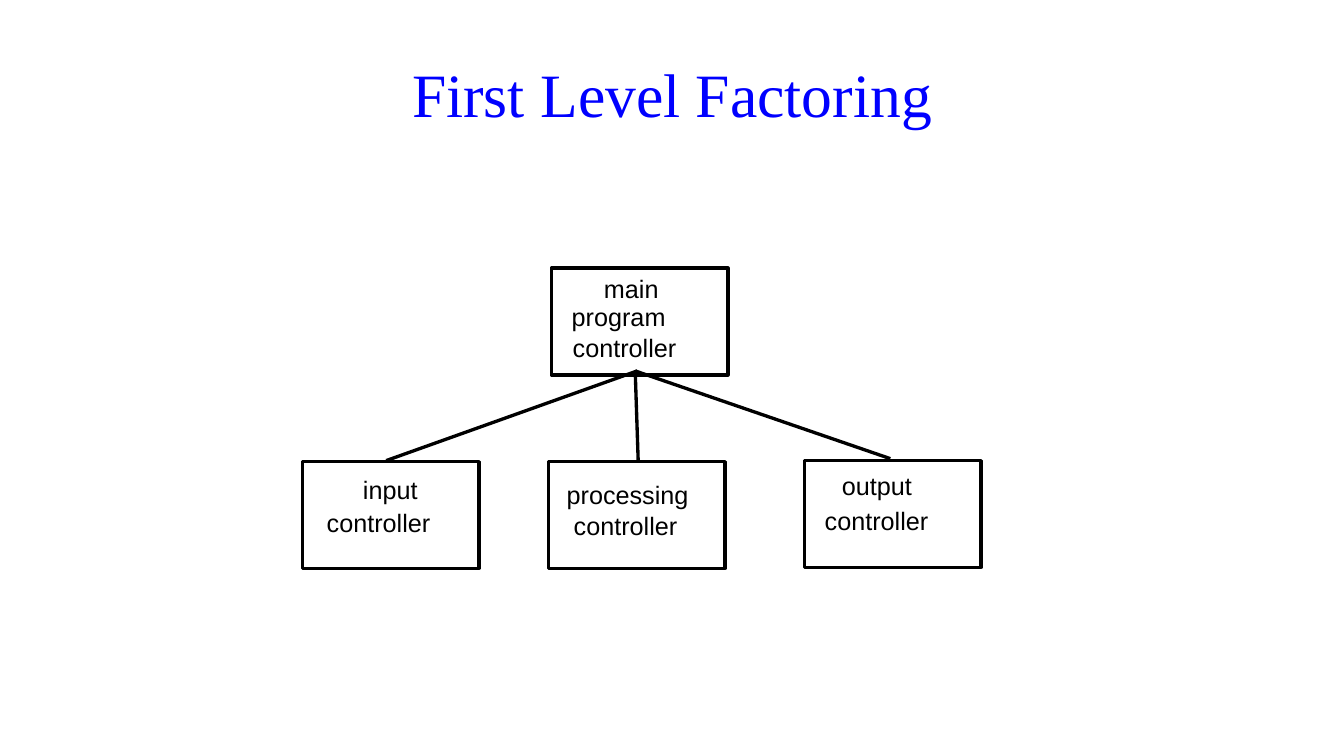
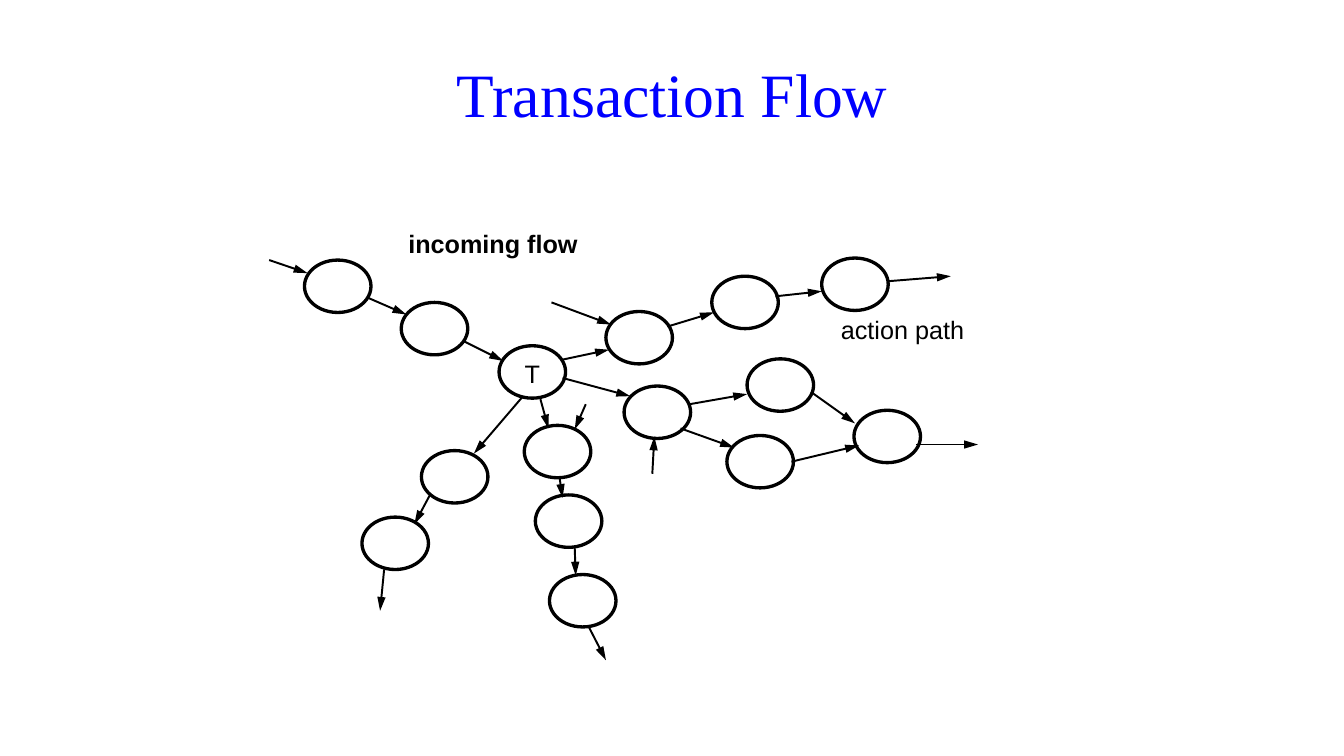
"""Build two structured-design slides: first level factoring and transaction flow."""
from dataclasses import dataclass

from lxml import etree
from pptx import Presentation
from pptx import util as u
from pptx.dml.color import RGBColor
from pptx.enum import shapes, text
from pptx.oxml import ns

BLACK = RGBColor(0x00, 0x00, 0x00)
WHITE = RGBColor(0xFF, 0xFF, 0xFF)
TITLE_BLUE = RGBColor(0x00, 0x00, 0xFF)
TITLE_FONT, LABEL_FONT = "Times New Roman", "Arial"
HEAVY, LIGHT = u.Pt(2.38), u.Pt(1.38)
MODULE_SIZE = (1.75, 1.06)
BUBBLE_SIZE = (0.66, 0.52)
TITLE_ONLY = 5


@dataclass(frozen=True)
class Line:
    """One line of a label, with its indent and the gap above it in inches."""
    words: str
    indent: float = 0
    gap: float = 0


@dataclass(frozen=True)
class Module:
    """A box of the structure chart."""
    left: float
    top: float
    inset: float
    lines: tuple[Line, ...]


@dataclass(frozen=True)
class Flow:
    """A straight stroke between two points."""
    x1: float
    y1: float
    x2: float
    y2: float


MODULES = (
    Module(5.47, 2.66, 0.09, (Line("main", 0.52), Line("program", 0.2), Line("controller", 0.21, 0.04))),
    Module(3, 4.58, 0.16, (Line("input", 0.6), Line("controller", 0.24, 0.06))),
    Module(5.44, 4.58, 0.21, (Line("processing", 0.18), Line("controller", 0.25, 0.04))),
    Module(7.98, 4.57, 0.13, (Line("output", 0.37), Line("controller", 0.2, 0.08))),
)
CALLS = (Flow(6.32, 3.68, 3.83, 4.57), Flow(6.3, 3.68, 6.33, 4.58), Flow(6.3, 3.68, 8.83, 4.55))

TRANSACTION_CENTER = (4.95, 3.43)
BUBBLES = (
    (3.02, 2.58), (3.98, 3),
    (6.01, 3.09), (7.06, 2.74), (8.15, 2.56),
    (6.19, 3.83), (7.41, 3.56), (7.21, 4.32), (8.47, 4.07),
    (5.2, 4.22), (5.31, 4.91), (5.45, 5.7),
    (4.18, 4.47), (3.59, 5.13),
)
INCOMING_FLOWS = (Flow(2.67, 2.58, 3.05, 2.71), Flow(3.64, 2.95, 4.03, 3.12), Flow(4.59, 3.38, 4.99, 3.58))
ACTION_FLOWS = (
    Flow(5.57, 3.57, 6.04, 3.47), Flow(5.47, 3, 6.06, 3.22), Flow(6.62, 3.24, 7.08, 3.1),
    Flow(7.69, 2.94, 8.15, 2.89), Flow(8.81, 2.79, 9.43, 2.74),
    Flow(5.58, 3.75, 6.25, 3.93), Flow(6.47, 4.7, 6.49, 4.33), Flow(6.84, 4.01, 7.41, 3.91),
    Flow(8.06, 3.9, 8.48, 4.2), Flow(6.75, 4.25, 7.28, 4.44), Flow(7.85, 4.58, 8.52, 4.42),
    Flow(9.09, 4.41, 9.7, 4.41),
    Flow(5.36, 3.96, 5.44, 4.25), Flow(5.81, 4.01, 5.7, 4.26), Flow(5.55, 4.74, 5.58, 4.94),
    Flow(5.7, 5.43, 5.71, 5.71), Flow(5.84, 6.22, 6.01, 6.55),
    Flow(5.18, 3.94, 4.7, 4.5), Flow(4.27, 4.9, 4.11, 5.2), Flow(3.81, 5.65, 3.77, 6.06),
)


def write(frame, lines: tuple[Line, ...], *, font: str = LABEL_FONT, size: float = 18,
          color: RGBColor = BLACK, bold: bool = False, spacing: float = 0.9, inset: float = 0,
          align=text.PP_ALIGN.LEFT, anchor=text.MSO_ANCHOR.TOP) -> None:
    """Fill a text frame with formatted lines."""
    frame.word_wrap = True
    frame.auto_size = text.MSO_AUTO_SIZE.NONE
    frame.vertical_anchor = anchor
    frame.margin_left = frame.margin_right = frame.margin_bottom = 0
    frame.margin_top = u.Inches(inset)
    for index, line in enumerate(lines):
        paragraph = frame.add_paragraph() if index else frame.paragraphs[0]
        paragraph.alignment = align
        paragraph.line_spacing = spacing
        paragraph.space_before = u.Inches(line.gap)
        if line.indent:
            paragraph._p.get_or_add_pPr().set("marL", str(u.Inches(line.indent)))
        run = paragraph.add_run()
        run.text = line.words
        run.font.name, run.font.size, run.font.bold = font, u.Pt(size), bold
        run.font.color.rgb = color


def add_titled_slide(deck, title: str):
    """Add a slide with the shared title style."""
    slide = deck.slides.add_slide(deck.slide_layouts[TITLE_ONLY])
    heading = slide.shapes.title
    heading.left, heading.top = u.Inches(0.67), u.Inches(0.3)
    heading.width, heading.height = u.Inches(12), u.Inches(1.25)
    write(heading.text_frame, (Line(title),), font=TITLE_FONT, size=44, color=TITLE_BLUE,
          spacing=1.0, align=text.PP_ALIGN.CENTER, anchor=text.MSO_ANCHOR.MIDDLE)
    return slide


def add_node(slide, kind, left: float, top: float, size: tuple[float, float]):
    """Draw a white shape with a heavy black outline."""
    node = slide.shapes.add_shape(kind, *map(u.Inches, (left, top, *size)))
    node.shadow.inherit = False
    node.fill.solid()
    node.fill.fore_color.rgb = WHITE
    node.line.color.rgb = BLACK
    node.line.width = HEAVY
    return node


def add_flow(slide, flow: Flow, width: u.Length, arrow: bool = False) -> None:
    """Draw a straight connector, with an arrowhead at its end if asked."""
    ends = map(u.Inches, (flow.x1, flow.y1, flow.x2, flow.y2))
    connector = slide.shapes.add_connector(shapes.MSO_CONNECTOR.STRAIGHT, *ends)
    connector.line.color.rgb = BLACK
    connector.line.width = width
    properties = connector._element.spPr
    if arrow:
        outline = properties.find(ns.qn("a:ln"))
        etree.SubElement(outline, ns.qn("a:tailEnd"), type="triangle", w="med", len="lg")
    etree.SubElement(properties, ns.qn("a:effectLst"))


def add_caption(slide, words: str, left: float, top: float, bold: bool = False) -> None:
    """Place a free-standing caption."""
    caption = slide.shapes.add_textbox(*map(u.Inches, (left, top, 1.9, 0.27)))
    write(caption.text_frame, (Line(words),), bold=bold)


def build_factoring(deck) -> None:
    """Draw the main controller and its three subordinates."""
    slide = add_titled_slide(deck, "First Level Factoring")
    for module in MODULES:
        box = add_node(slide, shapes.MSO_SHAPE.RECTANGLE, module.left, module.top, MODULE_SIZE)
        write(box.text_frame, module.lines, inset=module.inset)
    for call in CALLS:
        add_flow(slide, call, HEAVY)


def build_transaction(deck) -> None:
    """Draw the incoming flow, the transaction center and the action paths."""
    slide = add_titled_slide(deck, "Transaction Flow")
    for left, top in BUBBLES:
        add_node(slide, shapes.MSO_SHAPE.OVAL, left, top, BUBBLE_SIZE)
    center = add_node(slide, shapes.MSO_SHAPE.OVAL, *TRANSACTION_CENTER, BUBBLE_SIZE)
    write(center.text_frame, (Line("T"),), inset=0.06,
          align=text.PP_ALIGN.CENTER, anchor=text.MSO_ANCHOR.MIDDLE)
    for flow in INCOMING_FLOWS + ACTION_FLOWS:
        add_flow(slide, flow, LIGHT, arrow=True)
    add_caption(slide, "incoming flow", 4.05, 2.3, bold=True)
    add_caption(slide, "action path", 8.34, 3.15)


def main() -> None:
    """Build and save the deck."""
    deck = Presentation()
    deck.slide_width, deck.slide_height = u.Inches(13.33), u.Inches(7.5)
    build_factoring(deck)
    build_transaction(deck)
    deck.save("out.pptx")


if __name__ == "__main__":
    main()
